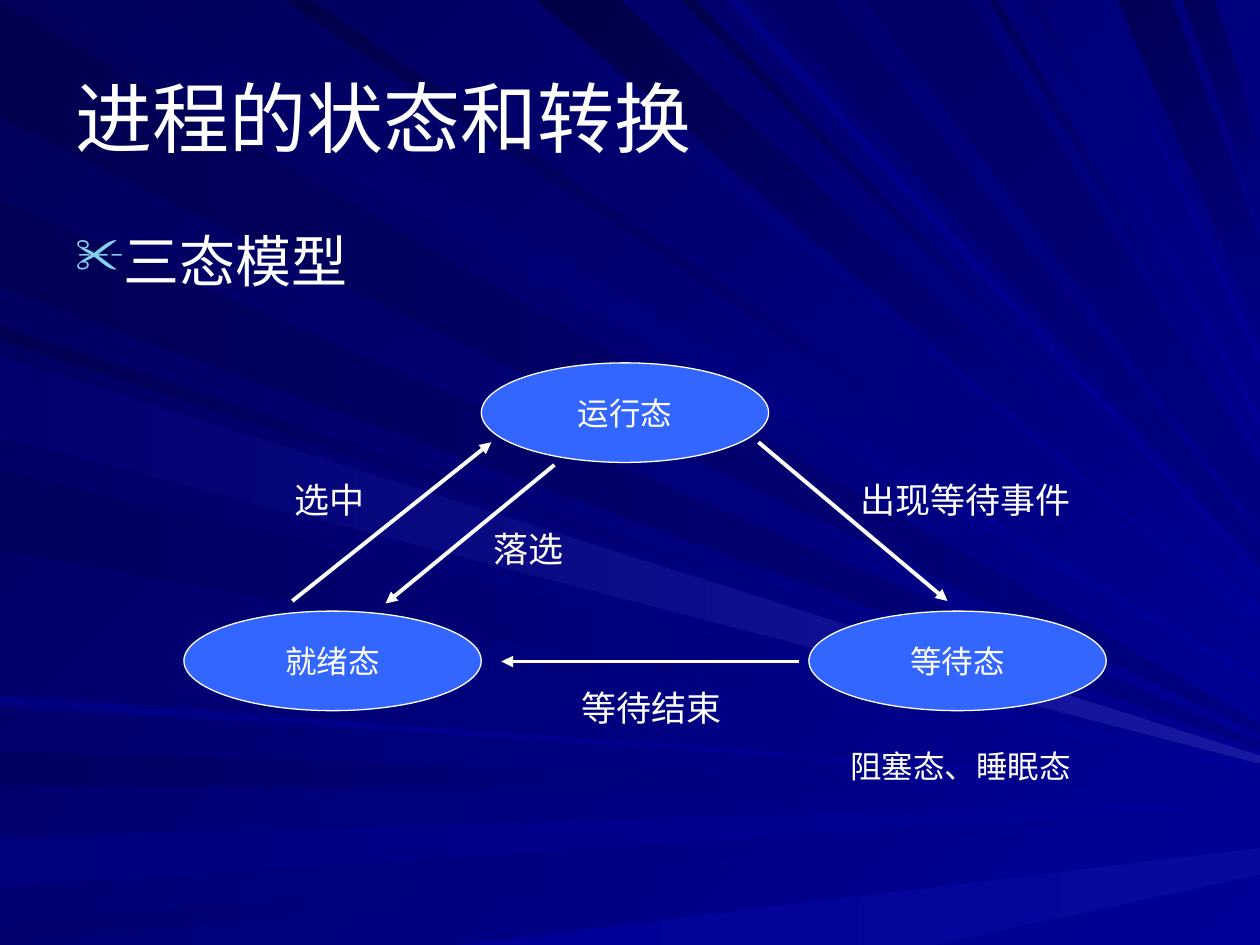
"""Build the slide showing the three-state process model on a background of rays."""
from dataclasses import dataclass

from lxml.etree import SubElement
from pptx import Presentation
from pptx.dml.color import RGBColor
from pptx.enum.shapes import MSO_CONNECTOR, MSO_SHAPE
from pptx.enum.text import MSO_ANCHOR, PP_ALIGN
from pptx.oxml.ns import qn
from pptx.util import Pt


@dataclass(frozen=True)
class Theme:
    font: str = "Arial"
    text: str = "FFFFFF"
    line: str = "FFFFFF"
    state: str = "3366FF"
    bullet: str = "86D1EC"
    background: tuple = ("000058", "000099")
    title_size: int = 44
    body_size: int = 32
    label_size: int = 20
    state_size: int = 18
    outline: float = 0.75
    arrow: float = 2.25


THEME = Theme()
EMU_PER_PX = 9144
SLIDE_WIDTH, SLIDE_HEIGHT = 1000, 750

RAY_FOCUS = {"left": (1100, 632), "top": (1160, 632), "bottom": (1227, 645)}
RAY_ANGLE = {"left": 0, "top": 45, "bottom": 0}
RAYS = [
    ("left", 2, 93, "000051", "000080"),
    ("top", 26, 101, "00005D", "000099"),
    ("left", 596, 623, "000061", "000099"),
    ("left", 665, 704, "00007D", "000099"),
    ("left", 735, 750, "00006F", "000099"),
    ("bottom", 364, 742, "000099", "08089C"),
    ("left", 258, 270, "000053", "000099"),
    ("left", 159, 228, "000055", "000080"),
    ("top", 398, 416, "00006B", "000099"),
    ("top", 426, 492, "000047", "000099"),
    ("top", 540, 552, "00004F", "000099"),
    ("top", 606, 661, "000065", "000080"),
    ("top", 887, 930, "000055", "000080"),
    ("top", 939, 964, "000059", "000080"),
    ("left", 278, 342, "000061", "000099"),
    ("left", 374, 437, "00005D", "000099"),
    ("left", 552, 560, "000082", "000099"),
    ("top", 225, 247, "00004A", "000099"),
    ("top", 577, 588, "000082", "000099"),
    ("top", 686, 770, "000065", "000080"),
    ("top", 785, 792, "000058", "000099"),
    ("top", 815, 824, "00006F", "000099"),
    ("top", 865, 872, "000079", "000099"),
    ("left", 283, 347, "00006F", "1717A2"),
]

TEXTS = [
    ("进程的状态和转换", (50, 30, 900, 125), dict(size=THEME.title_size, anchor=MSO_ANCHOR.MIDDLE)),
    ("三态模型", (50, 175, 900, 495), dict(size=THEME.body_size, bullet="✂")),
    ("落选", (382, 414, 79, 44), {}),
    ("选中", (224, 375, 79, 44), {}),
    ("等待结束", (407, 540, 220, 44), dict(align=PP_ALIGN.CENTER)),
    ("出现等待事件", (673, 375, 189, 44), {}),
    ("阻塞态、睡眠态", (665, 588, 197, 40), dict(size=THEME.state_size)),
]

STATES = [
    ("运行态", (382, 288, 228, 79)),
    ("就绪态", (146, 485, 236, 79)),
    ("等待态", (642, 485, 236, 79)),
]

TRANSITIONS = [
    ((440, 369), (306, 479)),
    ((232, 477), (390, 351)),
    ((634, 525), (398, 525)),
    ((602, 351), (752, 477)),
]


def emu(*lengths):
    return [length * EMU_PER_PX for length in lengths]


def color(value):
    return RGBColor.from_string(value)


def paint_gradient(fill, colors, angle):
    fill.gradient()
    fill.gradient_angle = -angle % 360
    for stop, value in zip(fill.gradient_stops, colors):
        stop.color.rgb = color(value)


def add_bullet(paragraph, character):
    properties = paragraph._p.get_or_add_pPr()
    indent = 38 * EMU_PER_PX
    properties.set("marL", str(indent))
    properties.set("indent", str(-indent))
    bullet_color = SubElement(properties, qn("a:buClr"))
    SubElement(bullet_color, qn("a:srgbClr"), val=THEME.bullet)
    SubElement(properties, qn("a:buSzPct"), val="90000")
    SubElement(properties, qn("a:buChar"), char=character)


def write_text(shape, text, size=THEME.label_size, align=PP_ALIGN.LEFT,
               anchor=MSO_ANCHOR.TOP, wrap=True, bullet=None):
    frame = shape.text_frame
    frame.word_wrap = wrap
    frame.vertical_anchor = anchor
    paragraph = frame.paragraphs[0]
    paragraph.text = text
    paragraph.alignment = align
    if bullet:
        add_bullet(paragraph, bullet)
    font = paragraph.runs[0].font
    font.name = THEME.font
    font.size = Pt(size)
    font.color.rgb = color(THEME.text)


def edge_point(edge, offset):
    return {"left": (0, offset), "top": (offset, 0), "bottom": (offset, SLIDE_HEIGHT)}[edge]


def exit_point(origin, focus):
    (x, y), (focus_x, focus_y) = origin, focus
    share = (SLIDE_WIDTH - x) / (focus_x - x)
    return SLIDE_WIDTH, round(y + share * (focus_y - y))


def add_ray(slide, edge, start, end, dark, light):
    first, second = edge_point(edge, start), edge_point(edge, end)
    focus = RAY_FOCUS[edge]
    builder = slide.shapes.build_freeform(*first, scale=EMU_PER_PX)
    builder.add_line_segments([second, exit_point(second, focus), exit_point(first, focus)])
    shape = builder.convert_to_shape()
    shape.shadow.inherit = False
    shape.line.fill.background()
    paint_gradient(shape.fill, (dark, light), RAY_ANGLE[edge])


def add_state(slide, text, box):
    shape = slide.shapes.add_shape(MSO_SHAPE.OVAL, *emu(*box))
    shape.shadow.inherit = False
    shape.fill.solid()
    shape.fill.fore_color.rgb = color(THEME.state)
    shape.line.color.rgb = color(THEME.line)
    shape.line.width = Pt(THEME.outline)
    write_text(shape, text, size=THEME.state_size, align=PP_ALIGN.CENTER,
               anchor=MSO_ANCHOR.MIDDLE, wrap=False)


def add_transition(slide, start, end):
    connector = slide.shapes.add_connector(MSO_CONNECTOR.STRAIGHT, *emu(*start, *end))
    connector.line.color.rgb = color(THEME.line)
    connector.line.width = Pt(THEME.arrow)
    SubElement(connector.line._get_or_add_ln(), qn("a:tailEnd"), type="triangle")
    SubElement(connector._element.spPr, qn("a:effectLst"))


def main():
    presentation = Presentation()
    presentation.slide_width, presentation.slide_height = emu(SLIDE_WIDTH, SLIDE_HEIGHT)
    slide = presentation.slides.add_slide(presentation.slide_layouts[6])
    paint_gradient(slide.background.fill, THEME.background, 45)
    for ray in RAYS:
        add_ray(slide, *ray)
    for state in STATES:
        add_state(slide, *state)
    for transition in TRANSITIONS:
        add_transition(slide, *transition)
    for text, box, style in TEXTS:
        write_text(slide.shapes.add_textbox(*emu(*box)), text, **style)
    presentation.save("out.pptx")


if __name__ == "__main__":
    main()
